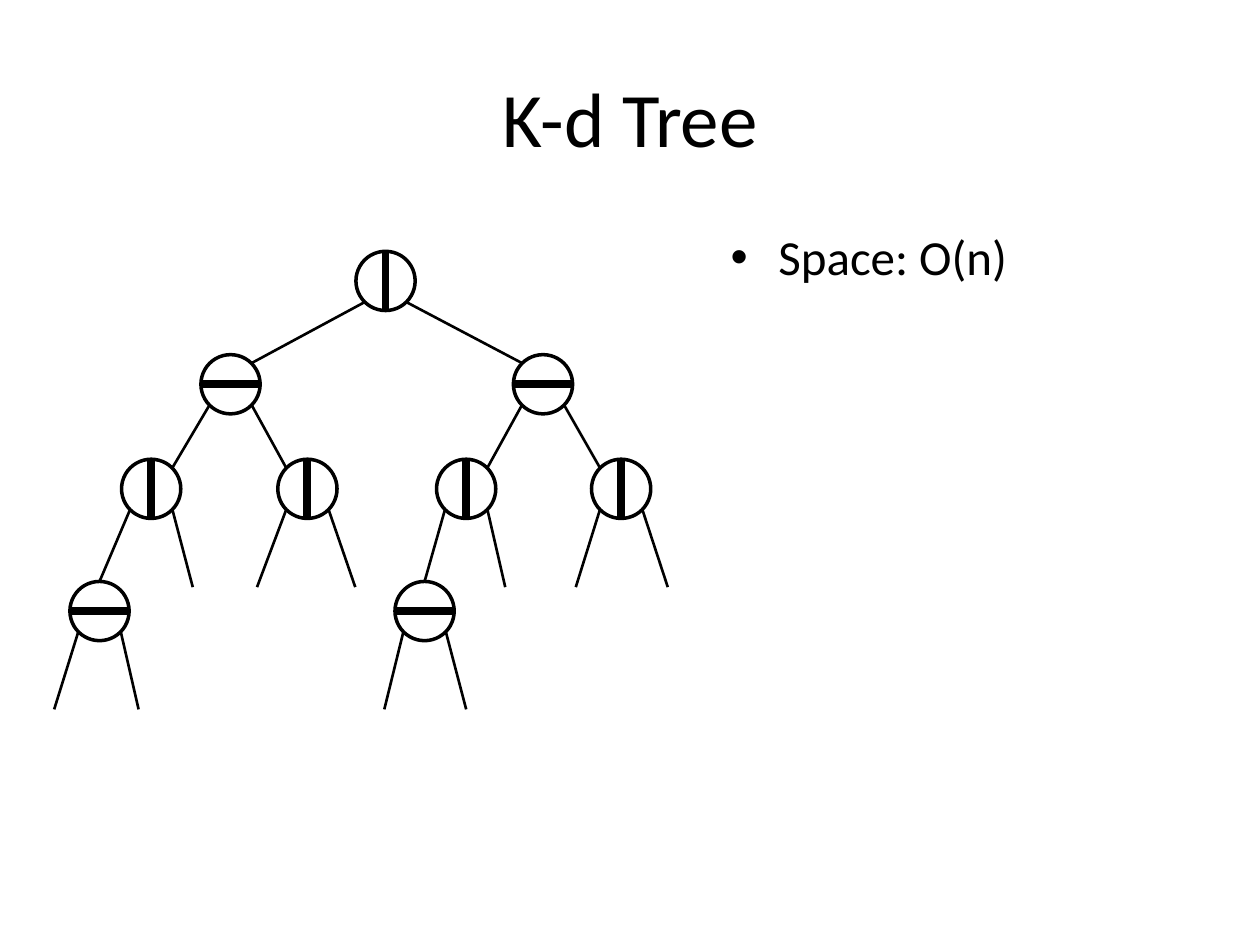
from dataclasses import dataclass
from typing import Union

from lxml import etree
from pptx import Presentation
from pptx.dml.color import RGBColor
from pptx.enum.shapes import MSO_CONNECTOR, MSO_SHAPE
from pptx.enum.text import MSO_ANCHOR, PP_ALIGN
from pptx.oxml.ns import qn
from pptx.util import Inches, Pt

STRAIGHT = MSO_CONNECTOR.STRAIGHT
OVAL = MSO_SHAPE.OVAL
MIDDLE = MSO_ANCHOR.MIDDLE
TOP = MSO_ANCHOR.TOP
CENTER = PP_ALIGN.CENTER
LEFT = PP_ALIGN.LEFT

BLACK = RGBColor(0x00, 0x00, 0x00)
FONT = "Calibri"

DIAMETER = 0.47
RADIUS = DIAMETER / 2
DIAGONAL = 0.17
LEVEL_Y = [2.23, 3.05, 3.88, 4.85]
STUB_DROP = 0.78


@dataclass
class Node:
    """A split at x; a child that is a number is an open branch ending at that x."""
    x: float
    left: Union["Node", float]
    right: Union["Node", float]


TREE = Node(
    3.06,
    Node(1.83,
         Node(1.2, Node(0.79, 0.43, 1.1), 1.53),
         Node(2.44, 2.04, 2.82)),
    Node(4.31,
         Node(3.7, Node(3.37, 3.05, 3.7), 4.01),
         Node(4.93, 4.57, 5.3)),
)


def add_line(shapes, start, end, width):
    line = shapes.add_connector(STRAIGHT, *map(Inches, (*start, *end)))
    line.line.color.rgb = BLACK
    line.line.width = Pt(width)
    etree.SubElement(line._element.spPr, qn("a:effectLst"))


def add_split(slide, x, y, vertical):
    """Draw a circle with a bar that shows the direction of the split."""
    shapes = slide.shapes.add_group_shape().shapes
    circle = shapes.add_shape(OVAL, Inches(x - RADIUS), Inches(y - RADIUS),
                              Inches(DIAMETER), Inches(DIAMETER))
    circle.shadow.inherit = False
    circle.fill.background()
    circle.line.color.rgb = BLACK
    circle.line.width = Pt(2)
    dx, dy = (0, RADIUS) if vertical else (RADIUS, 0)
    add_line(shapes, (x + dx, y + dy), (x - dx, y - dy), 4.5)


def add_tree(slide, node, level=0):
    y = LEVEL_Y[level]
    add_split(slide, node.x, y, vertical=level % 2 == 0)
    for side, child in ((-1, node.left), (1, node.right)):
        start = (node.x + side * DIAGONAL, y + DIAGONAL)
        if not isinstance(child, Node):
            end = (child, y + STUB_DROP)
        elif level + 1 == len(LEVEL_Y) - 1:
            end = (child.x, LEVEL_Y[level + 1] - RADIUS)
        else:
            end = (child.x - side * DIAGONAL, LEVEL_Y[level + 1] - DIAGONAL)
        add_line(slide.shapes, start, end, 1.5)
        if isinstance(child, Node):
            add_tree(slide, child, level + 1)


def write_text(shape, text, size, alignment, anchor):
    frame = shape.text_frame
    frame.word_wrap = True
    frame.vertical_anchor = anchor
    paragraph = frame.paragraphs[0]
    paragraph.alignment = alignment
    run = paragraph.add_run()
    run.text = text
    for name, value in {"name": FONT, "size": Pt(size)}.items():
        setattr(run.font, name, value)
    run.font.color.rgb = BLACK
    return paragraph


def add_title(slide, text):
    title = slide.shapes.title
    place = {"left": 0.5, "top": 0.3, "width": 9, "height": 1.25}
    for name, value in place.items():
        setattr(title, name, Inches(value))
    write_text(title, text, 44, CENTER, MIDDLE)


def add_bullet(slide, text):
    box = slide.shapes.add_textbox(Inches(5.7), Inches(1.75),
                                   Inches(3.8), Inches(4.95))
    paragraph = write_text(box, text, 28, LEFT, TOP)
    properties = paragraph._p.get_or_add_pPr()
    properties.set("marL", str(Inches(0.38)))
    properties.set("indent", str(Inches(-0.38)))
    etree.SubElement(properties, qn("a:buFont"), typeface="Arial")
    etree.SubElement(properties, qn("a:buChar"), char="•")


def main():
    presentation = Presentation()
    presentation.slide_width = Inches(10)
    presentation.slide_height = Inches(7.5)
    slide = presentation.slides.add_slide(presentation.slide_layouts[5])
    add_title(slide, "K-d Tree")
    add_tree(slide, TREE)
    add_bullet(slide, "Space: O(n)")
    presentation.save("out.pptx")


if __name__ == "__main__":
    main()
